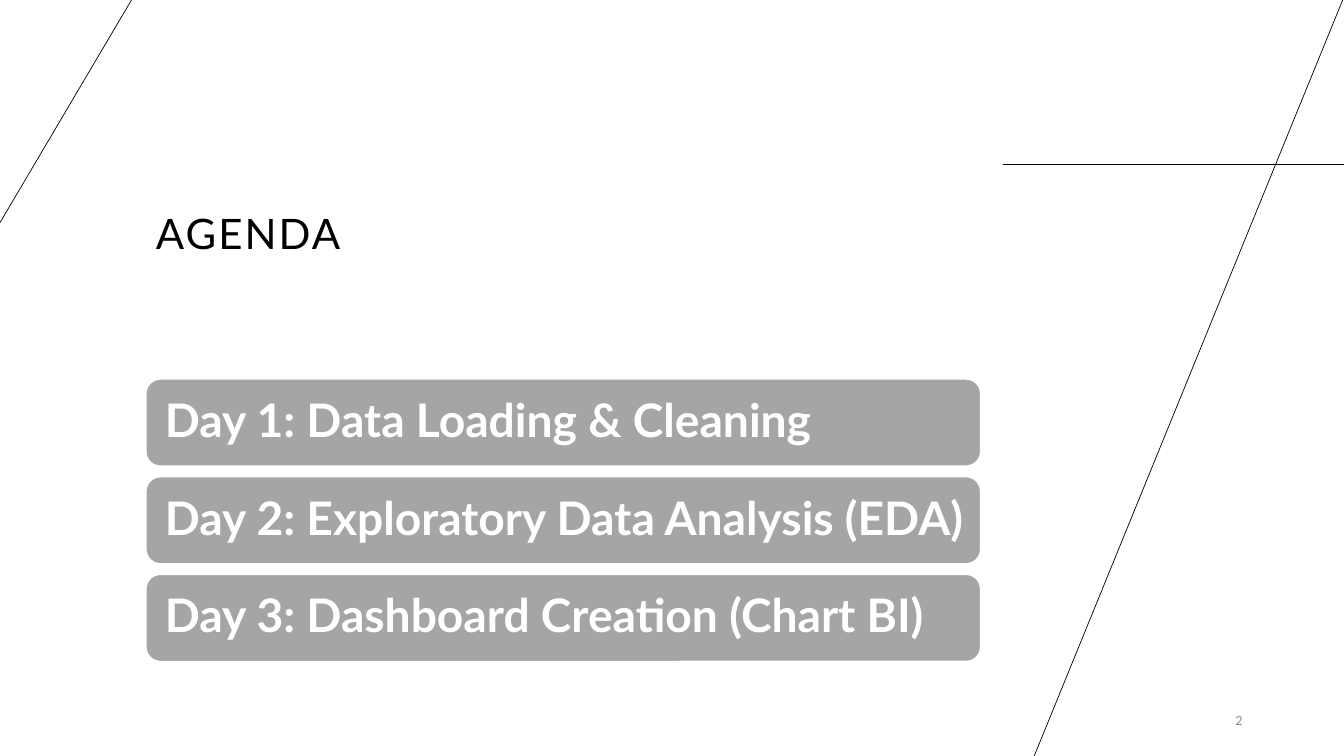
from pptx import Presentation
from pptx.dml.color import RGBColor
from pptx.enum.shapes import MSO_CONNECTOR, MSO_SHAPE
from pptx.enum.text import MSO_ANCHOR, PP_ALIGN
from pptx.oxml.ns import qn
from pptx.util import Emu, Pt
from lxml import etree


def px(n):
    """Convert pixels (96 to the inch) to EMU."""
    return Emu(n * 9525)


def write(shape, text, size, color, anchor, align=PP_ALIGN.LEFT):
    """Put one styled run in the shape and return its paragraph and run."""
    tf = shape.text_frame
    tf.word_wrap = True
    tf.vertical_anchor = anchor
    p = tf.paragraphs[0]
    p.alignment = align
    r = p.add_run()
    r.text = text
    r.font.name = "Lato"
    r.font.size = Pt(size)
    r.font.color.rgb = RGBColor.from_string(color)
    return p, r


prs = Presentation()
prs.slide_width, prs.slide_height = px(1280), px(720)
s = prs.slides.add_slide(prs.slide_layouts[6])

# Decorative lines
for ends in [(955, 157, 1280, 157), (1280, -3, 985, 720), (0, 212, 127, -3)]:
    line = s.shapes.add_connector(MSO_CONNECTOR.STRAIGHT, *map(px, ends))
    line.line.color.rgb = RGBColor.from_string("000000")
    line.line.width = Pt(0.5)
    etree.SubElement(line._element.spPr, qn("a:effectLst"))

# Title
title = s.shapes.add_textbox(px(139), px(28), px(765), px(223))
p, r = write(title, "AGENDA", 30, "000000", MSO_ANCHOR.BOTTOM)
p.line_spacing = 0.9
r.font._element.set("spc", "150")

# Slide number
number = s.shapes.add_textbox(px(1089), px(667), px(104), px(38))
p, r = write(number, "2", 9, "8C8C8C", MSO_ANCHOR.MIDDLE, PP_ALIGN.RIGHT)
p.space_after = Pt(6)

# One card per day
days = [
    "Day 1: Data Loading & Cleaning",
    "Day 2: Exploratory Data Analysis (EDA)",
    "Day 3: Dashboard Creation (Chart BI)",
]
for i, day in enumerate(days):
    card = s.shapes.add_shape(
        MSO_SHAPE.ROUNDED_RECTANGLE, px(139), px(361 + 93 * i), px(795), px(83))
    card.shadow.inherit = False
    card.fill.solid()
    card.fill.fore_color.rgb = RGBColor.from_string("A5A5A5")
    card.line.color.rgb = RGBColor.from_string("FFFFFF")
    card.line.width = Pt(1)
    tf = card.text_frame
    tf.margin_left, tf.margin_right = px(14), px(8)
    tf.margin_top = tf.margin_bottom = px(4)
    p, r = write(card, day, 33, "FFFFFF", MSO_ANCHOR.MIDDLE)
    p.line_spacing = 0.9
    r.font.bold = True

prs.save("out.pptx")
